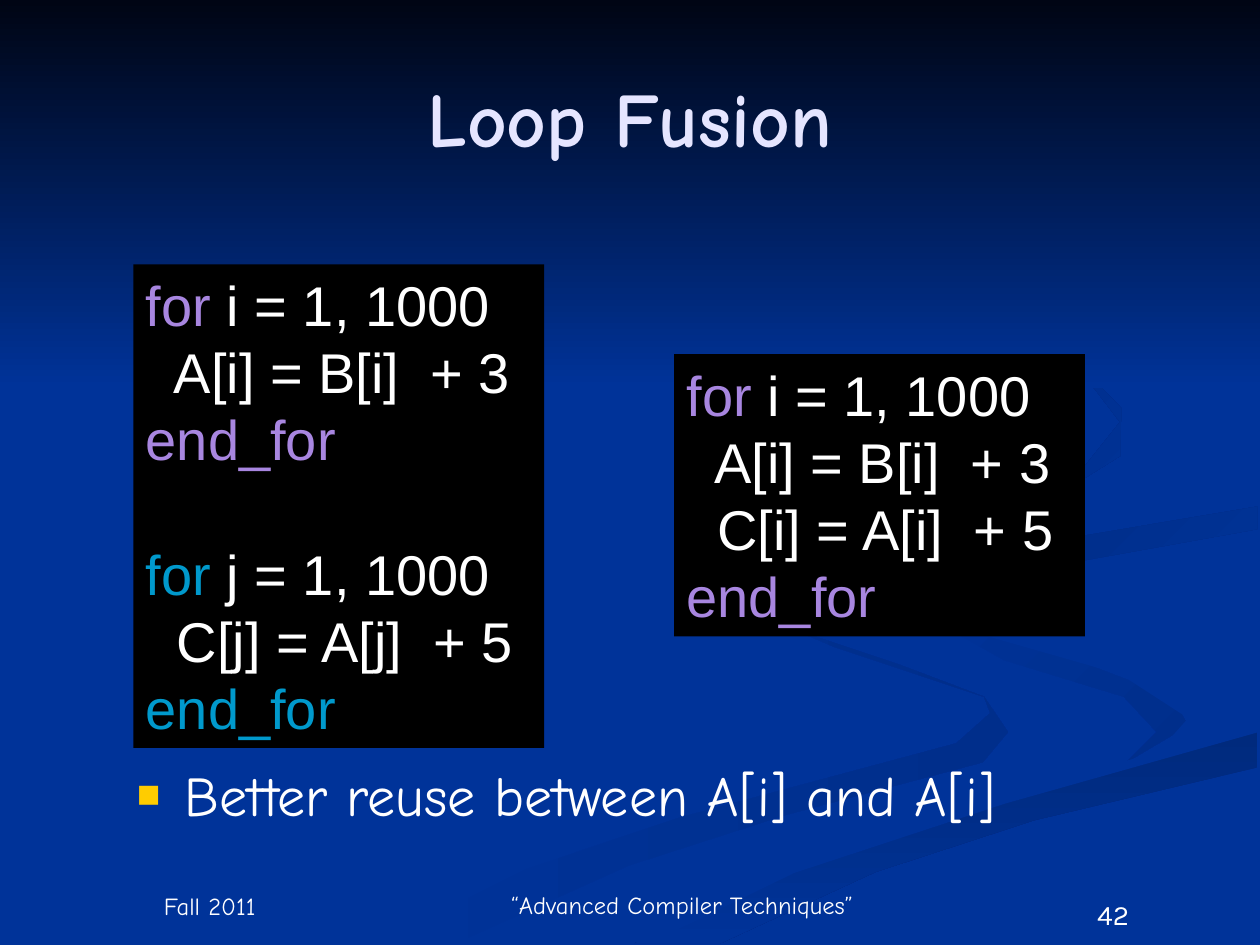
import dataclasses
from typing import Optional

import lxml.etree
import pptx
import pptx.dml.color
import pptx.enum.shapes
import pptx.enum.text
import pptx.oxml.ns
import pptx.util

Cm, Pt = pptx.util.Cm, pptx.util.Pt
ALIGN, ANCHOR = pptx.enum.text.PP_ALIGN, pptx.enum.text.MSO_ANCHOR

NAVY, WHITE, BLACK = "003399", "FFFFFF", "000000"
PURPLE, TEAL, GOLD, LAVENDER = "A886E0", "0099CC", "FFCC00", "E5E5FF"
OUTLINE_UNIT = Cm(0.0254)
CODE_SIZE, CODE_PITCH = Pt(32), Pt(38.4)


@dataclasses.dataclass
class Ribbon:
    start: str
    end: str
    angle: int
    outline: list[tuple[int, int]]


@dataclasses.dataclass
class Label:
    text: str
    box: tuple[float, float, float, float]
    size: int
    font: str = "Comic Neue"
    color: str = WHITE
    bold: bool = False
    align: ALIGN = ALIGN.CENTER
    anchor: ANCHOR = ANCHOR.BOTTOM
    bullet: Optional[str] = None


@dataclasses.dataclass
class Loop:
    counter: str
    body: list[str]
    color: str


@dataclasses.dataclass
class Listing:
    left: float
    top: float
    height: float
    loops: list[Loop]


RIBBONS = [
    Ribbon(NAVY, "002E8B", 0, [
        (575, 459), (602, 490), (715, 528), (781, 553), (786, 566), (759, 590),
        (539, 649), (417, 690), (300, 749), (361, 749), (499, 687), (623, 647),
        (780, 605), (800, 581), (781, 553), (661, 513), (587, 481)]),
    Ribbon(NAVY, "002E8B", 45, [
        (724, 464), (745, 490), (870, 530), (930, 553), (943, 576), (894, 605),
        (918, 581), (892, 553), (797, 524), (733, 488)]),
    Ribbon("002A7D", NAVY, 90, [
        (503, 749), (571, 749), (695, 692), (821, 651), (998, 609), (998, 581),
        (797, 638), (630, 693)]),
    Ribbon(NAVY, NAVY, 0, [
        (725, 464), (759, 498), (889, 535), (943, 570), (919, 597), (704, 655),
        (573, 703), (477, 749), (519, 747), (630, 693), (797, 638), (999, 581),
        (999, 538), (832, 498), (781, 463), (822, 434), (999, 402), (999, 387),
        (755, 432)]),
    Ribbon("002D86", NAVY, 45, [
        (781, 460), (791, 478), (826, 496), (805, 472), (843, 448), (998, 420),
        (998, 402), (849, 427), (791, 447)]),
    Ribbon("002B82", NAVY, 45, [
        (683, 430), (825, 402), (889, 362), (890, 324), (843, 275), (762, 233),
        (846, 279), (889, 335), (861, 370), (676, 414), (589, 441), (577, 462),
        (622, 500), (593, 470), (624, 444)]),
    Ribbon("000514", NAVY, 90, [(0, 0), (0, 308), (1000, 308), (1000, 0)]),
]

LABELS = [
    Label("42", (20.32, 17.96, 4.24, 1.02), 16, font="Karla", anchor=ANCHOR.TOP),
    Label("Fall 2011", (1.27, 17.78, 5.92, 0.91), 14),
    Label("“Advanced Compiler Techniques”", (9.73, 17.78, 8.05, 0.89), 14),
    Label("Loop Fusion", (1.27, 0.76, 22.86, 3.18), 44, color=LAVENDER, bold=True,
          anchor=ANCHOR.MIDDLE),
    Label("Better reuse between A[i] and A[i]", (2.51, 15.21, 20.19, 1.6), 32,
          align=ALIGN.LEFT, anchor=ANCHOR.TOP, bullet="■"),
]

LISTING_WIDTH = 8.28
LISTINGS = [
    Listing(2.69, 5.33, 9.75, [
        Loop("i", ["  A[i] = B[i]  + 3"], PURPLE),
        Loop("j", ["  C[j] = A[j]  + 5"], TEAL)]),
    Listing(13.59, 7.14, 5.69, [
        Loop("i", ["  A[i] = B[i]  + 3", "  C[i] = A[i]  + 5"], PURPLE)]),
]


def rgb(value: str) -> pptx.dml.color.RGBColor:
    return pptx.dml.color.RGBColor.from_string(value)


def style(font, name: str, size: int, color: str, bold: bool = False) -> None:
    font.name, font.size, font.bold = name, size, bold
    font.color.rgb = rgb(color)


def draw_ribbon(slide, ribbon: Ribbon) -> None:
    builder = slide.shapes.build_freeform(*ribbon.outline[0], scale=OUTLINE_UNIT)
    builder.add_line_segments(ribbon.outline[1:], close=True)
    band = builder.convert_to_shape()
    band.shadow.inherit = False
    band.line.fill.background()
    if ribbon.start == ribbon.end:
        band.fill.solid()
        band.fill.fore_color.rgb = rgb(ribbon.start)
        return
    band.fill.gradient()
    band.fill.gradient_angle = -ribbon.angle % 360
    for stop, color in zip(band.fill.gradient_stops, (ribbon.start, ribbon.end)):
        stop.color.rgb = rgb(color)


def add_bullet(paragraph, symbol: str) -> None:
    qn = pptx.oxml.ns.qn
    properties = paragraph._p.get_or_add_pPr()
    properties.set("marL", str(Cm(0.96)))
    properties.set("indent", str(Cm(-0.96)))
    tint = lxml.etree.SubElement(properties, qn("a:buClr"))
    lxml.etree.SubElement(tint, qn("a:srgbClr"), val=GOLD)
    lxml.etree.SubElement(properties, qn("a:buSzPct"), val="70000")
    lxml.etree.SubElement(properties, qn("a:buFont"), typeface="Arial")
    lxml.etree.SubElement(properties, qn("a:buChar"), char=symbol)


def draw_label(slide, label: Label) -> None:
    frame = slide.shapes.add_textbox(*map(Cm, label.box)).text_frame
    frame.word_wrap = True
    frame.vertical_anchor = label.anchor
    frame.text = label.text
    line = frame.paragraphs[0]
    line.alignment = label.align
    if label.bullet:
        add_bullet(line, label.bullet)
    style(line.runs[0].font, label.font, Pt(label.size), label.color, label.bold)


def draw_listing(slide, listing: Listing) -> None:
    panel = slide.shapes.add_shape(
        pptx.enum.shapes.MSO_SHAPE.RECTANGLE,
        Cm(listing.left), Cm(listing.top), Cm(LISTING_WIDTH), Cm(listing.height))
    panel.shadow.inherit = False
    panel.fill.solid()
    panel.fill.fore_color.rgb = rgb(BLACK)
    panel.line.fill.background()
    frame = panel.text_frame
    frame.word_wrap = True
    frame.vertical_anchor = ANCHOR.TOP
    line = None
    for loop in listing.loops:
        head = [("for", loop.color), (f" {loop.counter} = 1, 1000", WHITE)]
        body = [[(statement, WHITE)] for statement in loop.body]
        for pieces in [head, *body, [("end_for", loop.color)]]:
            is_first = line is None
            line = frame.paragraphs[0] if is_first else frame.add_paragraph()
            line.alignment = ALIGN.LEFT
            line.line_spacing = CODE_PITCH
            if pieces is head and not is_first:
                line.space_before = CODE_PITCH
            for text, color in pieces:
                run = line.add_run()
                run.text = text
                style(run.font, "Arial", CODE_SIZE, color)


def main() -> None:
    """Build the loop fusion slide and save it."""
    deck = pptx.Presentation()
    deck.slide_width, deck.slide_height = Cm(25.4), Cm(19.05)
    slide = deck.slides.add_slide(deck.slide_layouts[6])
    slide.background.fill.solid()
    slide.background.fill.fore_color.rgb = rgb(NAVY)
    for ribbon in RIBBONS:
        draw_ribbon(slide, ribbon)
    for label in LABELS:
        draw_label(slide, label)
    for listing in LISTINGS:
        draw_listing(slide, listing)
    deck.save("out.pptx")


if __name__ == "__main__":
    main()
